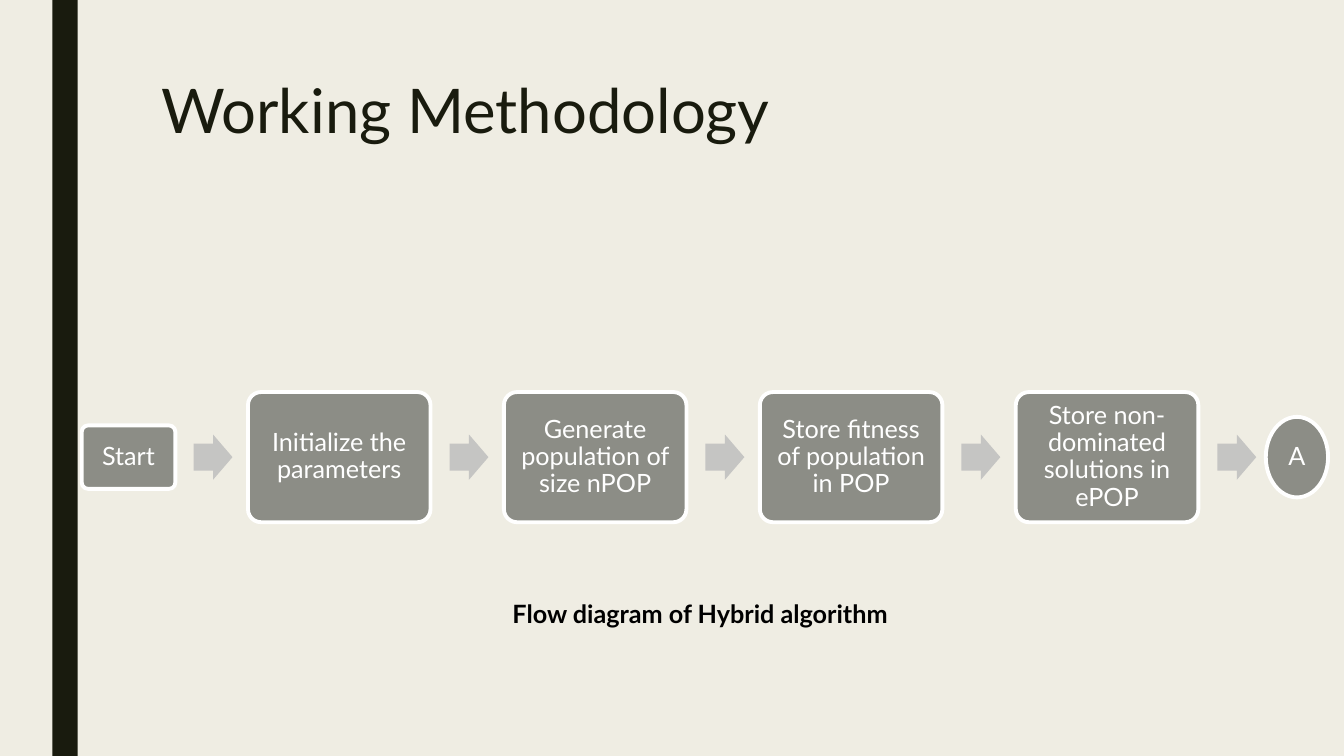
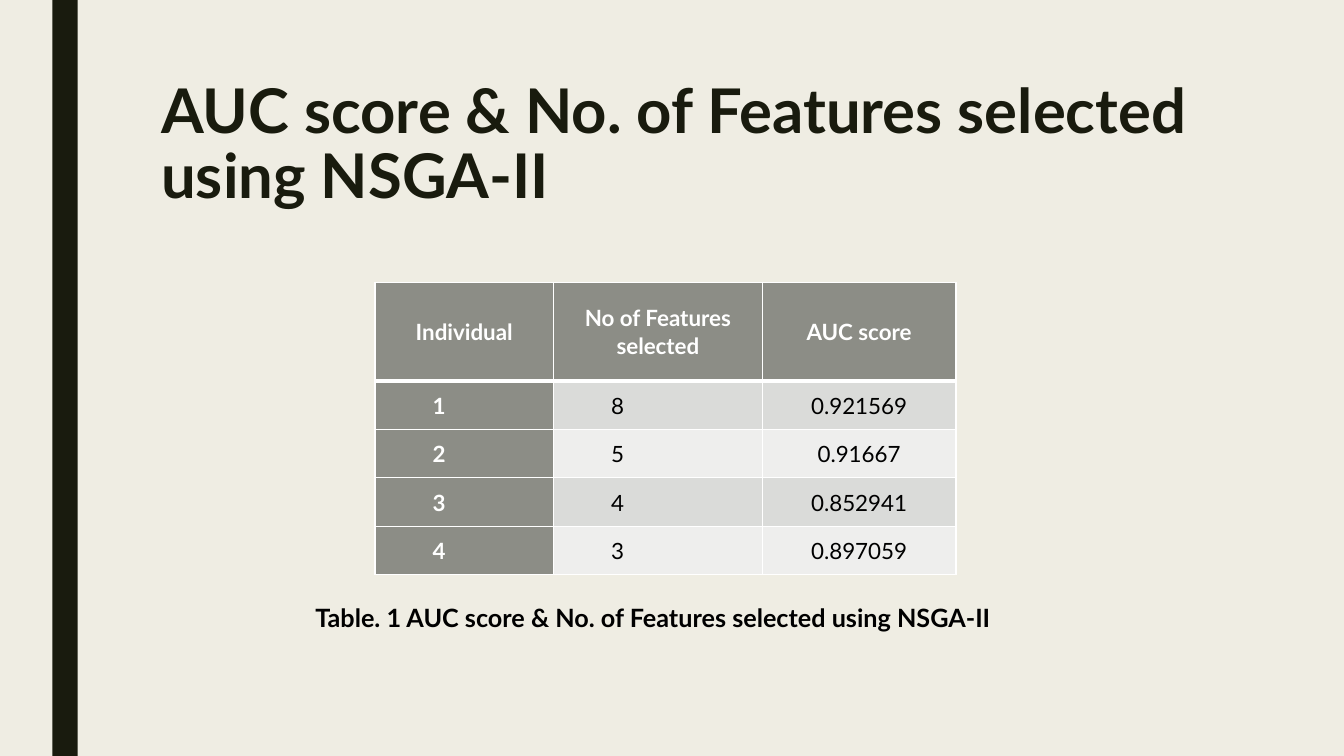
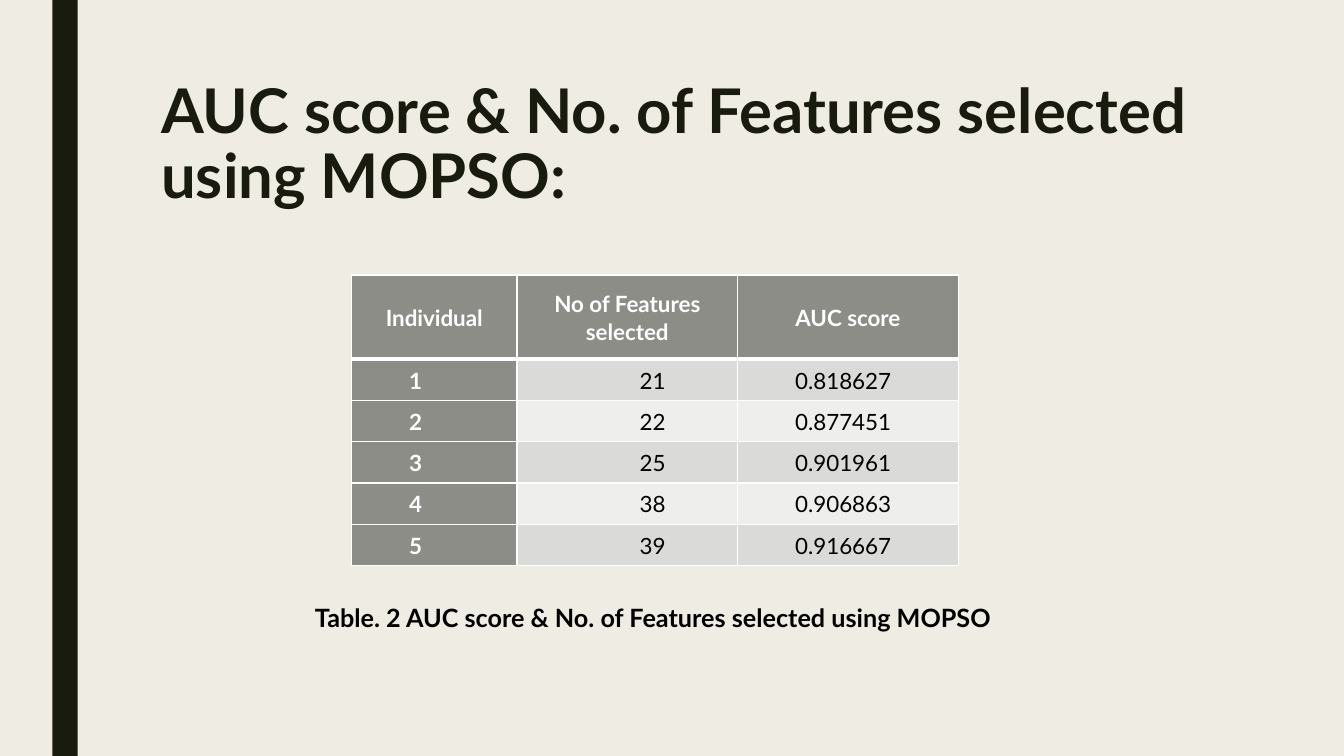
from lxml import etree
from pptx import Presentation
from pptx.dml.color import RGBColor
from pptx.enum.shapes import MSO_SHAPE as SHAPE
from pptx.enum.text import MSO_ANCHOR as ANCHOR, MSO_AUTO_SIZE as AUTO, PP_ALIGN as ALIGN
from pptx.oxml.ns import qn
from pptx.util import Cm, Pt

FONT = "Lato"
CREAM = RGBColor(0xEF, 0xED, 0xE3)
DARK = RGBColor(0x19, 0x1B, 0x0E)
GRAY = RGBColor(0x8C, 0x8D, 0x86)
ARROW_GRAY = RGBColor(0xC5, 0xC5, 0xC3)
BAND_DARK = RGBColor(0xDA, 0xDB, 0xD9)
BAND_LIGHT = RGBColor(0xEE, 0xEE, 0xED)
WHITE = RGBColor(0xFF, 0xFF, 0xFF)
BLACK = RGBColor(0, 0, 0)

FLOW_Y = 11.52
FLOW_PITCH = 6.45
STEPS = [
    "Initialize the parameters",
    "Generate population of size nPOP",
    "Store fitness of population in POP",
    "Store non-dominated solutions in ePOP",
]

HEADERS = ["Individual", "No of Features selected", "AUC score"]
FIRST_LINE_INDENT = Cm(1.27)
NSGA_SCORES = [("8", "0.921569"), ("5", "0.91667"), ("4", "0.852941"), ("3", "0.897059")]
MOPSO_SCORES = [("21", "0.818627"), ("22", "0.877451"), ("25", "0.901961"),
                ("38", "0.906863"), ("39", "0.916667")]


def write(tf, text, size, color, bold=False, align=ALIGN.CENTER, spacing=None):
    tf.text = text
    p = tf.paragraphs[0]
    p.alignment = align
    p.line_spacing = spacing
    font = p.runs[0].font
    font.name, font.size, font.bold = FONT, Pt(size), bold
    font.color.rgb = color
    return p


def add_block(s, kind, left, top, width, height, fill, outlined=False):
    sp = s.shapes.add_shape(kind, Cm(left), Cm(top), Cm(width), Cm(height))
    sp.shadow.inherit = False
    sp.fill.solid()
    sp.fill.fore_color.rgb = fill
    if outlined:
        sp.line.color.rgb = WHITE
        sp.line.width = Pt(2.75)
    else:
        sp.line.fill.background()
    return sp


def add_titled_slide(prs, title, bold=True):
    s = prs.slides.add_slide(prs.slide_layouts[5])
    add_block(s, SHAPE.RECTANGLE, 1.32, 0, 0.64, 19.05, DARK)
    sp = s.shapes.title
    sp.left, sp.top, sp.width, sp.height = Cm(3.81), Cm(1.9), Cm(26.67), Cm(4.1)
    tf = sp.text_frame
    tf.vertical_anchor = ANCHOR.TOP
    tf.auto_size = AUTO.NONE
    write(tf, title, 44, DARK, bold, ALIGN.LEFT, 0.89)
    return s


def add_caption(s, text, left, top, width):
    tf = s.shapes.add_textbox(Cm(left), Cm(top), Cm(width), Cm(1.02)).text_frame
    tf.word_wrap = True
    write(tf, text, 18, BLACK, bold=True)


def add_step(s, text, left, width, height, kind=SHAPE.ROUNDED_RECTANGLE):
    """Add an outlined flow step centred on the flow line."""
    sp = add_block(s, kind, left, FLOW_Y - height / 2, width, height, GRAY, outlined=True)
    tf = sp.text_frame
    tf.word_wrap = True
    tf.vertical_anchor = ANCHOR.MIDDLE
    if kind == SHAPE.ROUNDED_RECTANGLE:
        sp.adjustments[0] = 0.1
        tf.margin_left = tf.margin_right = tf.margin_top = tf.margin_bottom = Cm(0.18)
    write(tf, text, 18, WHITE, spacing=0.9)


def add_flow(s):
    add_step(s, "Start", 2.06, 2.36, 1.6)
    for i, step in enumerate(STEPS):
        add_step(s, step, 6.25 + i * FLOW_PITCH, 4.6, 3.28)
    add_step(s, "A", 31.9, 1.57, 2.03, SHAPE.FLOWCHART_CONNECTOR)
    for i in range(len(STEPS) + 1):
        arrow = add_block(s, SHAPE.RIGHT_ARROW, 4.88 + i * FLOW_PITCH, FLOW_Y - 0.57,
                          0.98, 1.14, ARROW_GRAY)
        arrow.adjustments[0] = 0.6


def set_borders(cell, bottom):
    """Draw white borders, 1 pt except for the given top and bottom widths."""
    tc_pr = cell._tc.get_or_add_tcPr()
    for tag, width in (("a:lnL", 1), ("a:lnR", 1), ("a:lnT", 1), ("a:lnB", bottom)):
        ln = etree.SubElement(tc_pr, qn(tag), w=str(Pt(width)))
        fill = etree.SubElement(ln, qn("a:solidFill"))
        etree.SubElement(fill, qn("a:srgbClr"), val=str(WHITE))


def fill_cell(cell, text, fill, color, bold, align, indent=0, bottom=1):
    set_borders(cell, bottom)
    cell.fill.solid()
    cell.fill.fore_color.rgb = fill
    cell.vertical_anchor = ANCHOR.MIDDLE
    cell.margin_left = cell.margin_right = Cm(0.18)
    cell.margin_top = cell.margin_bottom = 0
    p = write(cell.text_frame, text, 16, color, bold, align, 1.05)
    if indent:
        p._p.get_or_add_pPr().set("indent", str(indent))


def add_score_table(s, scores, left, top, widths, header_height, row_height, layout):
    """Add a score table; layout holds an (alignment, indent) pair per column."""
    total = header_height + row_height * len(scores)
    table = s.shapes.add_table(len(scores) + 1, len(HEADERS), Cm(left), Cm(top),
                               Cm(sum(widths)), Cm(total)).table
    for col, width in zip(table.columns, widths):
        col.width = Cm(width)
    for i, row in enumerate(table.rows):
        row.height = Cm(row_height if i else header_height)
    for c, header in enumerate(HEADERS):
        fill_cell(table.cell(0, c), header, GRAY, WHITE, True, ALIGN.CENTER, bottom=3)
    for r, score in enumerate(scores, 1):
        band = BAND_DARK if r % 2 else BAND_LIGHT
        for c, (text, (align, indent)) in enumerate(zip((str(r), *score), layout)):
            key = c == 0
            fill_cell(table.cell(r, c), text, GRAY if key else band,
                      WHITE if key else BLACK, key, align, indent)
            if r == 1:
                top_line = table.cell(r, c)._tc.tcPr.find(qn("a:lnT"))
                top_line.set("w", str(Pt(3)))


def main():
    prs = Presentation()
    prs.slide_width, prs.slide_height = Cm(33.87), Cm(19.05)
    background = prs.slide_master.background.fill
    background.solid()
    background.fore_color.rgb = CREAM

    s = add_titled_slide(prs, "Working Methodology", bold=False)
    add_flow(s)
    add_caption(s, "Flow diagram of Hybrid algorithm", 8.92, 14.96, 17.45)

    indented = (ALIGN.JUSTIFY, FIRST_LINE_INDENT)
    s = add_titled_slide(prs, "AUC score & No. of Features selected using NSGA-II")
    add_score_table(s, NSGA_SCORES, 9.45, 7.11, (4.5, 5.26, 4.88), 2.49, 1.22,
                    (indented, indented, (ALIGN.CENTER, 0)))
    add_caption(s, "Table. 1 AUC score & No. of Features selected using NSGA-II",
                4.72, 15.06, 23.47)

    s = add_titled_slide(prs, "AUC score & No. of Features selected using MOPSO:")
    add_score_table(s, MOPSO_SCORES, 8.86, 6.93, (4.17, 5.56, 5.56), 2.12, 1.04,
                    (indented, (ALIGN.CENTER, FIRST_LINE_INDENT), indented))
    add_caption(s, "Table. 2 AUC score & No. of Features selected using MOPSO",
                4.72, 15.06, 23.47)

    prs.save("out.pptx")


if __name__ == "__main__":
    main()
